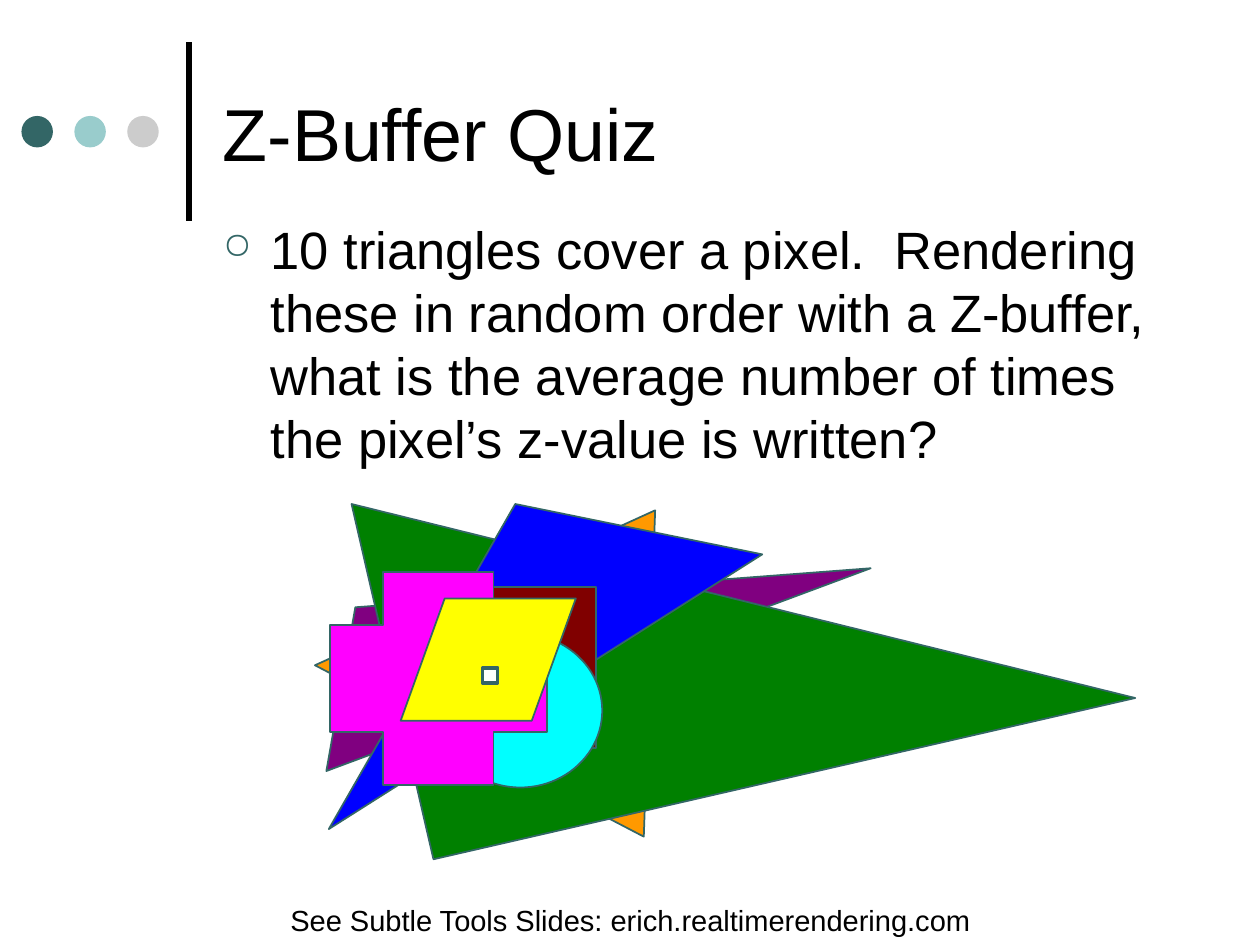
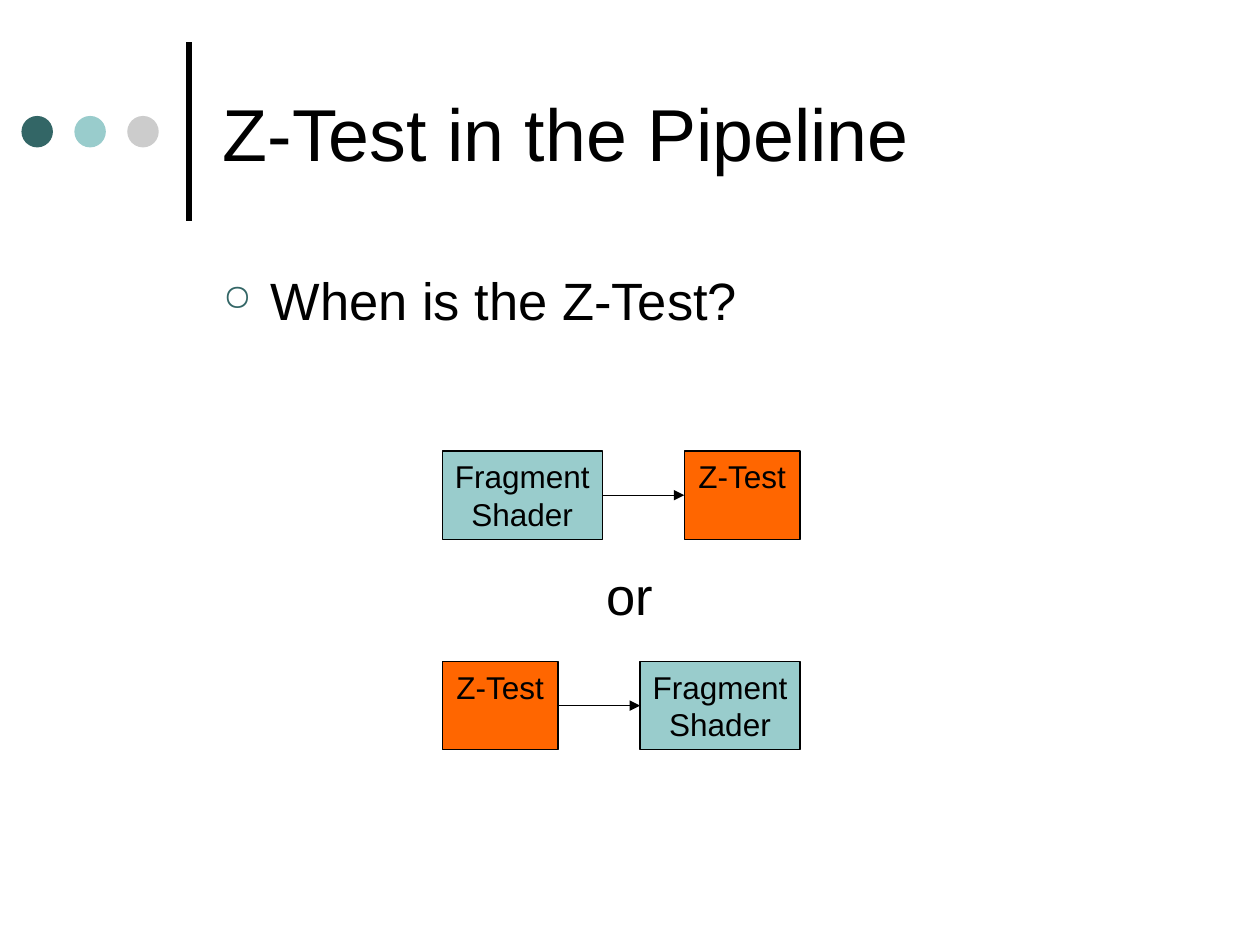
"""Two slides on the Z-buffer: a quiz and the place of the Z-test."""
from lxml import etree
from pptx import Presentation
from pptx import util as u
from pptx.dml.color import RGBColor
from pptx.enum import shapes, text
from pptx.oxml.ns import qn

HUES = {
    "ink": "000000", "teal": "336666", "aqua": "99CCCC", "grey": "CCCCCC",
    "gold": "FF9900", "plum": "800080", "green": "008000", "blue": "0000FF",
    "wine": "800000", "cyan": "00FFFF", "pink": "FF00FF", "lemon": "FFFF00",
    "white": "FFFFFF", "flame": "FF6600",
}
FACE = "Arial"
WIDE, HIGH = 10, 7.5
KIND = shapes.MSO_SHAPE
MID = text.PP_ALIGN.CENTER

QUIZ = {
    "title": "Z-Buffer Quiz",
    "body": "10 triangles cover a pixel.  Rendering these in random order "
            "with a Z-buffer, what is the average number of times "
            "the pixel’s z-value is written?",
    "top": 1.67,
}
TEST = {"title": "Z-Test in the Pipeline", "body": "When is the Z-Test?", "top": 2.08}
SOURCE = "See Subtle Tools Slides: erich.realtimerendering.com"

DOTS = ["teal", "aqua", "grey"]
SHARDS = [
    ("gold", [(2.5, 5.28), (5.2, 4.05), (5.11, 6.64)]),
    ("plum", [(6.91, 4.51), (2.59, 6.12), (2.82, 4.82)]),
    ("green", [(2.79, 4), (9.01, 5.54), (3.44, 6.82)]),
    ("blue", [(4.09, 4), (2.61, 6.58), (6.05, 4.4)]),
]
FORMS = [
    (KIND.RECTANGLE, "wine", (3.22, 4.66, 1.51, 1.28), None, 1),
    (KIND.OVAL, "cyan", (3.48, 5.03, 1.3, 1.22), None, 1),
    (KIND.CROSS, "pink", (2.62, 4.54, 1.72, 1.69), 0.25, 1),
    (KIND.PARALLELOGRAM, "lemon", (3.18, 4.75, 1.39, 0.97), 0.36, 1),
    (KIND.RECTANGLE, "white", (3.83, 5.3, 0.12, 0.12), None, 2),
]
STAGES = {
    "shade": (["Fragment", "Shader"], "aqua", 1.27),
    "test": (["Z-Test"], "flame", 0.92),
}
FLOWS = [(3.58, ["shade", "test"]), (5.25, ["test", "shade"])]
LEFT, GAP, TALL = 3.51, 0.65, 0.7


def rgb(hue):
    return RGBColor.from_string(HUES[hue])


def inch(nums):
    return [u.Inches(n) for n in nums]


def paint(form, fill, edge=None, width=1):
    form.shadow.inherit = False
    form.fill.solid()
    form.fill.fore_color.rgb = rgb(fill)
    if edge:
        form.line.color.rgb = rgb(edge)
        form.line.width = u.Pt(width)
    else:
        form.line.fill.background()
    return form


def shape(slide, kind, box, fill, edge=None, width=1):
    return paint(slide.shapes.add_shape(kind, *inch(box)), fill, edge, width)


def line(slide, ends, width, arrow=False):
    link = slide.shapes.add_connector(shapes.MSO_CONNECTOR.STRAIGHT, *inch(ends))
    link.line.color.rgb = rgb("ink")
    link.line.width = u.Pt(width)
    if arrow:
        etree.SubElement(link.get_or_add_ln(), qn("a:tailEnd"), type="triangle")
    etree.SubElement(link._element.spPr, qn("a:effectLst"))
    return link


def style(para, size, align=None):
    para.alignment = align
    para.font.name = FACE
    para.font.size = u.Pt(size)
    para.font.color.rgb = rgb("ink")


def label(slide, box, words, size, align=None):
    frame = slide.shapes.add_textbox(*inch(box)).text_frame
    frame.word_wrap = True
    para = frame.paragraphs[0]
    para.text = words
    style(para, size, align)
    return frame


def bullet(para):
    props = para._p.get_or_add_pPr()
    props.set("marL", str(u.Inches(0.38)))
    props.set("indent", str(u.Inches(-0.38)))
    tint = etree.Element(qn("a:buClr"))
    etree.SubElement(tint, qn("a:srgbClr"), val=HUES["teal"])
    size = etree.Element(qn("a:buSzPct"), val="70000")
    mark = etree.Element(qn("a:buChar"), char="○")
    for spot, part in enumerate([tint, size, mark]):
        props.insert(spot, part)


def start(deck, page):
    slide = deck.slides.add_slide(deck.slide_layouts[6])
    line(slide, (1.5, 1.75, 1.5, 0.33), 3)
    for col, hue in enumerate(DOTS):
        shape(slide, KIND.OVAL, (0.17 + 0.42 * col, 0.92, 0.25, 0.25), hue)
    head = label(slide, (1.67, 0.21, 7.67, 1.67), page["title"], 42)
    head.vertical_anchor = text.MSO_ANCHOR.MIDDLE
    body = label(slide, (1.67, page["top"], 7.67, 4.5), page["body"], 30)
    bullet(body.paragraphs[0])
    return slide


def quiz(deck):
    slide = start(deck, QUIZ)
    foot = label(slide, (0, 7.17, WIDE, 0.33), SOURCE, 16.6, MID)
    foot.paragraphs[0].line_spacing = 0.8
    for hue, points in SHARDS:
        first, *rest = [inch(point) for point in points]
        pen = slide.shapes.build_freeform(*first)
        pen.add_line_segments(rest, close=True)
        paint(pen.convert_to_shape(), hue, "teal")
    for kind, hue, box, bend, width in FORMS:
        form = shape(slide, kind, box, hue, "teal", width)
        if bend:
            form.adjustments[0] = bend


def stage(slide, name, left, top):
    words, hue, wide = STAGES[name]
    box = shape(slide, KIND.RECTANGLE, (left, top, wide, TALL), hue, "ink", 0.75)
    frame = box.text_frame
    frame.word_wrap = False
    frame.vertical_anchor = text.MSO_ANCHOR.TOP
    for row, word in enumerate(words):
        para = frame.add_paragraph() if row else frame.paragraphs[0]
        para.text = word
        style(para, 18, MID)
    return box


def test(deck):
    slide = start(deck, TEST)
    for top, (one, two) in FLOWS:
        edge = LEFT + STAGES[one][2]
        near = stage(slide, one, LEFT, top)
        far = stage(slide, two, edge + GAP, top)
        mid = top + TALL / 2
        link = line(slide, (edge, mid, edge + GAP, mid), 0.75, arrow=True)
        link.begin_connect(near, 3)
        link.end_connect(far, 1)
    label(slide, (0, 4.42, WIDE, 0.67), "or", 30, MID)


def main():
    deck = Presentation()
    deck.slide_width, deck.slide_height = inch((WIDE, HIGH))
    quiz(deck)
    test(deck)
    deck.save("out.pptx")


if __name__ == "__main__":
    main()
